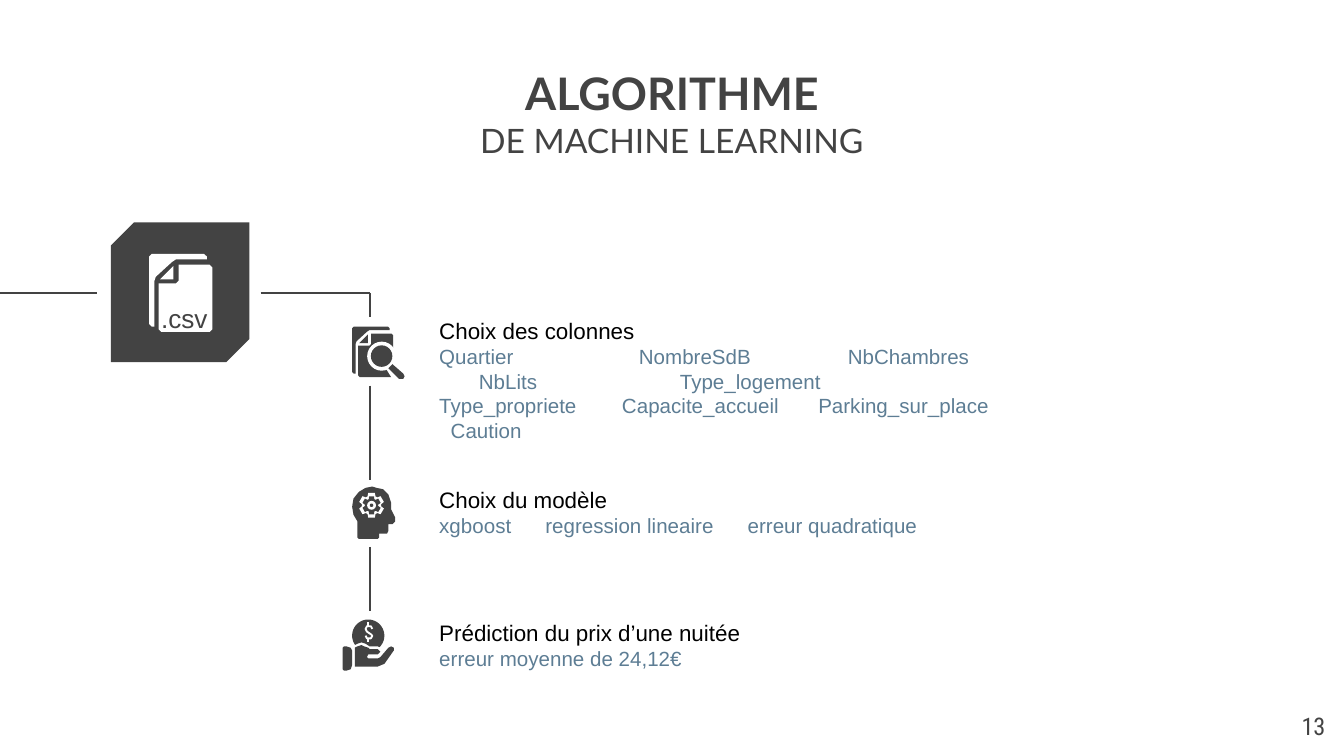
import math
from lxml import etree
from pptx import Presentation
from pptx import util as u
from pptx.dml.color import RGBColor
from pptx.enum import shapes, text
from pptx.oxml.ns import qn

DARK, WHITE, BLACK, BLUE = "434343", "FFFFFF", "000000", "5D7D94"
COLS, ROWS = 100, 56.25


def color(value):
    return RGBColor.from_string(value)


def arc(cx, cy, radius, start, end, steps):
    angles = [math.radians(start + (end - start) * i / steps) for i in range(steps + 1)]
    return [(cx + radius * math.cos(a), cy + radius * math.sin(a)) for a in angles]


def gear(cx, cy, outer, inner, teeth=6):
    points = []
    for i in range(teeth):
        for offset, radius in ((-24, inner), (-15, outer), (15, outer), (24, inner)):
            a = math.radians(i * 360 / teeth - 90 + offset)
            points.append((cx + radius * math.cos(a), cy + radius * math.sin(a)))
    return points


class Deck:
    font = "Arial"
    line_width = u.Pt(0.75)

    def __init__(self, prs):
        self.w, self.h = prs.slide_width, prs.slide_height
        self.s = prs.slides.add_slide(prs.slide_layouts[6])

    def x(self, col):
        return u.Emu(round(self.w * col / COLS))

    def y(self, row):
        return u.Emu(round(self.h * row / ROWS))

    def box(self, col, row, cols, rows):
        return self.x(col), self.y(row), self.x(cols), self.y(rows)

    def paint(self, sp, fill):
        sp.shadow.inherit = False
        sp.fill.solid()
        sp.fill.fore_color.rgb = color(fill)
        sp.line.fill.background()
        return sp

    def preset(self, kind, col, row, cols, rows, fill=DARK):
        return self.paint(self.s.shapes.add_shape(kind, *self.box(col, row, cols, rows)), fill)

    def disc(self, cx, cy, radius, fill=DARK):
        self.preset(shapes.MSO_SHAPE.OVAL, cx - radius, cy - radius, 2 * radius, 2 * radius, fill)

    def outline(self, contours, closed):
        first, *rest = [[(self.x(c), self.y(r)) for c, r in points] for points in contours]
        builder = self.s.shapes.build_freeform(*first[0])
        builder.add_line_segments(first[1:], close=closed)
        for points in rest:
            builder.move_to(*points[0])
            builder.add_line_segments(points[1:], close=closed)
        return builder.convert_to_shape()

    def polygon(self, points, fill=DARK):
        self.paint(self.outline([points], True), fill)

    def strokes(self, contours, stroke, width):
        sp = self.outline(contours, False)
        sp.shadow.inherit = False
        sp.fill.background()
        sp.line.color.rgb = color(stroke)
        sp.line.width = u.Pt(width)

    def line(self, col1, row1, col2, row2):
        cn = self.s.shapes.add_connector(
            shapes.MSO_CONNECTOR.STRAIGHT, self.x(col1), self.y(row1), self.x(col2), self.y(row2))
        cn.line.color.rgb = color(DARK)
        cn.line.width = self.line_width
        etree.SubElement(cn._element.spPr, qn("a:effectLst"))

    def text(self, box, paragraphs, align=text.PP_ALIGN.LEFT, pad=0.05):
        tf = self.s.shapes.add_textbox(*self.box(*box)).text_frame
        tf.word_wrap = True
        tf.margin_top = tf.margin_bottom = u.Inches(pad)
        for i, (lines, tabs) in enumerate(paragraphs):
            p = tf.paragraphs[0] if i == 0 else tf.add_paragraph()
            p.alignment = align
            if tabs:
                stops = etree.SubElement(p._p.get_or_add_pPr(), qn("a:tabLst"))
                for col in tabs:
                    etree.SubElement(stops, qn("a:tab"), pos=str(self.x(col)), algn="l")
            for j, (content, size, fill, font, bold) in enumerate(lines):
                if j:
                    p.add_line_break()
                r = p.add_run()
                r.text = content
                r.font.name, r.font.size, r.font.bold = font, u.Pt(size), bold
                r.font.color.rgb = color(fill)

    def step(self, box, heading, details):
        paragraphs = [([(content, 11, BLUE, self.font, False)], tabs) for content, tabs in details]
        paragraphs[0][0].insert(0, (heading, 12, BLACK, self.font, False))
        self.text(box, paragraphs)

    def document(self, col, row, scale, fill):
        back = [(.2, 0), (4.1, 0), (4.3, .2), (4.3, .4), (2, .4), (1.7, .6), (.5, 1.7),
                (.4, 2), (.4, 5.4), (.2, 5.4), (0, 5.2), (0, .2)]
        fold = [(1.8, .9), (.8, 1.9), (1.8, 1.9)]
        page = [(2.2, .8), (4.5, .8), (4.7, 1), (4.7, 5.6), (4.5, 5.8), (.9, 5.8),
                (.7, 5.6), (.7, 2.2), (2, 2.2), (2.2, 2)]
        for part in (back, fold, page):
            self.polygon([(col + scale * c, row + scale * r) for c, r in part], fill)

    def search_icon(self):
        self.document(26.2, 24.3, 0.65, DARK)
        self.polygon([(28.7, 27.4), (29.2, 28.2), (29.4, 28), (29.4, 26.5)], WHITE)
        self.disc(28.4, 26.5, 1.08, WHITE)
        self.disc(28.4, 26.5, 0.8)
        self.polygon([(29.2, 27.1), (30, 27.8), (30.1, 28), (30, 28.2), (29.8, 28.2),
                      (29.7, 28.2), (28.9, 27.4)])

    def head_icon(self):
        self.polygon([
            (27.7, 36.2), (27.2, 36.3), (26.7, 36.6), (26.3, 37.1), (26.2, 37.7), (26.3, 38.3),
            (26.6, 38.8), (26.6, 40), (26.7, 40.1), (28.1, 40.1), (28.2, 40), (28.2, 39.7),
            (28.8, 39.7), (28.9, 39.5), (28.9, 39), (29.2, 39), (29.4, 38.8), (29.4, 38.5),
            (29.1, 37.9), (29.1, 37.4), (28.9, 36.8), (28.5, 36.4), (28, 36.3)])
        cx, cy = 27.65, 37.6
        self.polygon(gear(cx, cy, 0.95, 0.72), WHITE)
        self.polygon(gear(cx, cy, 0.7, 0.5))
        self.disc(cx, cy, 0.33, WHITE)
        self.disc(cx, cy, 0.13)

    def coin_icon(self):
        self.polygon([(25.6, 48.1), (25.8, 48.1), (26.1, 48.2), (26.2, 48.4), (26.2, 49.5),
                      (26.1, 49.8), (25.8, 49.9), (25.6, 49.9), (25.5, 49.8), (25.5, 48.2)])
        self.polygon(arc(27.4, 47.3, 1.2, 45, -215, 36)
                     + [(26.6, 47.9), (26.9, 47.8), (27.2, 47.9), (27.5, 48.1), (28.1, 48.1)])
        self.strokes([
            [(27.7, 46.8), (27.6, 46.6), (27.3, 46.6), (27.2, 46.8), (27.3, 47), (27.6, 47.2),
             (27.7, 47.3), (27.6, 47.5), (27.3, 47.5), (27.2, 47.3)],
            [(27.4, 46.3), (27.4, 46.6)], [(27.4, 47.5), (27.4, 47.8)]], WHITE, 1)
        self.polygon([
            (26.9, 48), (26.6, 48.1), (26.4, 48.2), (26.4, 49.6), (28.1, 49.6), (28.6, 49.4),
            (29.3, 48.4), (29.3, 48.2), (29.1, 48.1), (28.9, 48.2), (28.3, 48.9), (28.1, 49),
            (27.4, 49), (27.3, 48.9), (27.4, 48.7), (28.1, 48.7), (28.3, 48.5), (28.1, 48.3),
            (27.5, 48.3), (27.4, 48.2), (27.1, 48.1)])


def main():
    prs = Presentation()
    prs.slide_width = u.Inches(10)
    prs.slide_height = prs.slide_width * 9 // 16
    d = Deck(prs)

    d.text((21.5, 3.9, 57, 10.3),
           [([("ALGORITHME", 24, DARK, "Lato", True),
              ("DE MACHINE LEARNING", 18, DARK, "Lato", False)], ())],
           text.PP_ALIGN.CENTER, 0.1)
    d.text((93.6, 51.9, 6, 4.3), [([("13", 13, DARK, "Roboto Condensed", False)], ())],
           text.PP_ALIGN.RIGHT, 0.1)

    spine = 27.54
    for ends in ((0, 21.8, 7.25, 21.8), (19.4, 21.8, spine, 21.8), (spine, 21.8, spine, 23.6),
                 (spine, 28.7, spine, 35.7), (spine, 40.7, spine, 45.5)):
        d.line(*ends)

    tile = d.preset(shapes.MSO_SHAPE.SNIP_2_DIAG_RECTANGLE, 8.2, 16.6, 10.4, 10.3)
    tile.rotation = 270
    tile.adjustments[0], tile.adjustments[1] = 0, 0.167
    d.document(11.1, 18.9, 1, WHITE)
    d.text((11, 22, 5.8, 3.4), [([(".csv", 14, DARK, d.font, False)], ())])

    d.search_icon()
    d.head_icon()
    d.coin_icon()

    left = 31.7
    d.step((left, 23.1, 44.6, 8.6), "Choix des colonnes", [
        ("Quartier\tNombreSdB\tNbChambres", (14.85, 30.4)),
        ("\tNbLits\tType_logement", (2.95, 17.9)),
        ("Type_propriete\tCapacite_accueil\tParking_sur_place", (13.6, 28.2)),
        ("\tCaution", (0.85,))])
    d.step((left, 35.7, 63, 4.9), "Choix du modèle", [
        ("xgboost\tregression lineaire\terreur quadratique", (7.9, 22.95))])
    d.step((left, 45.6, 63, 4.9), "Prédiction du prix d’une nuitée", [
        ("erreur moyenne de 24,12€", ())])

    prs.save("out.pptx")


if __name__ == "__main__":
    main()
